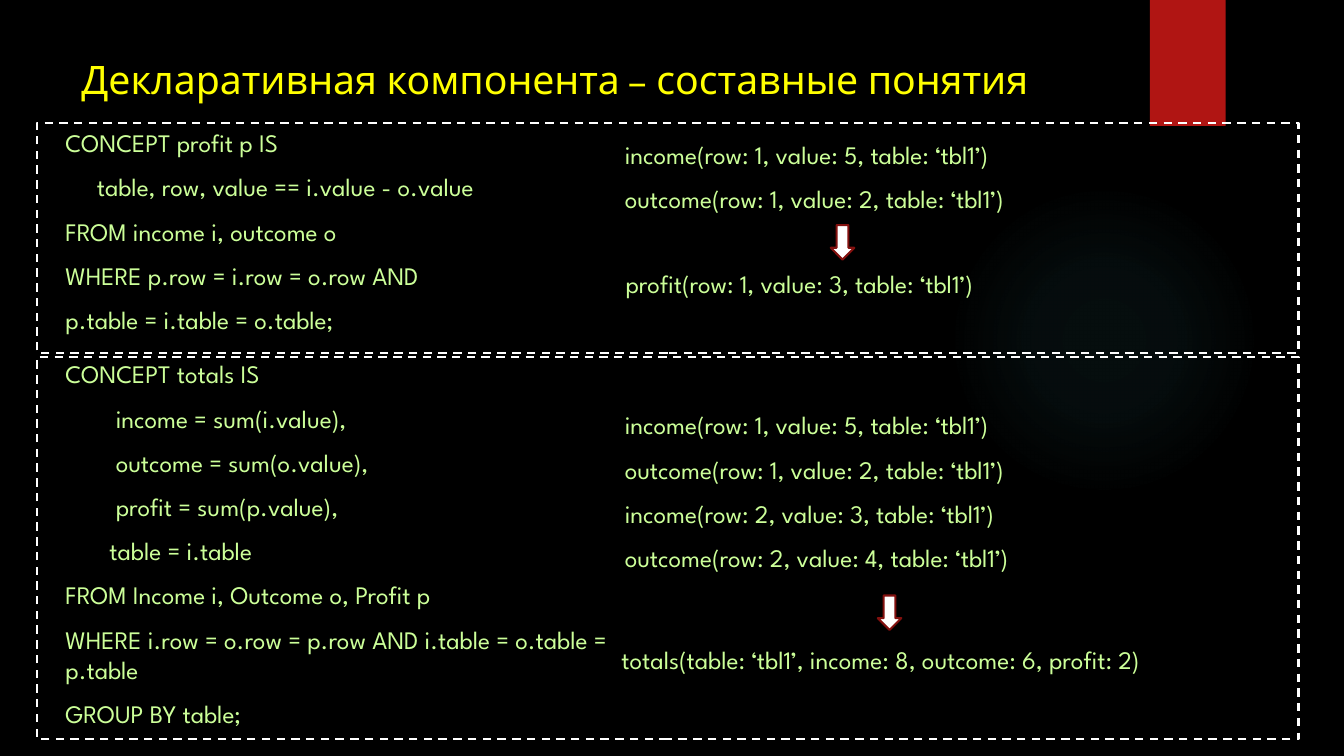
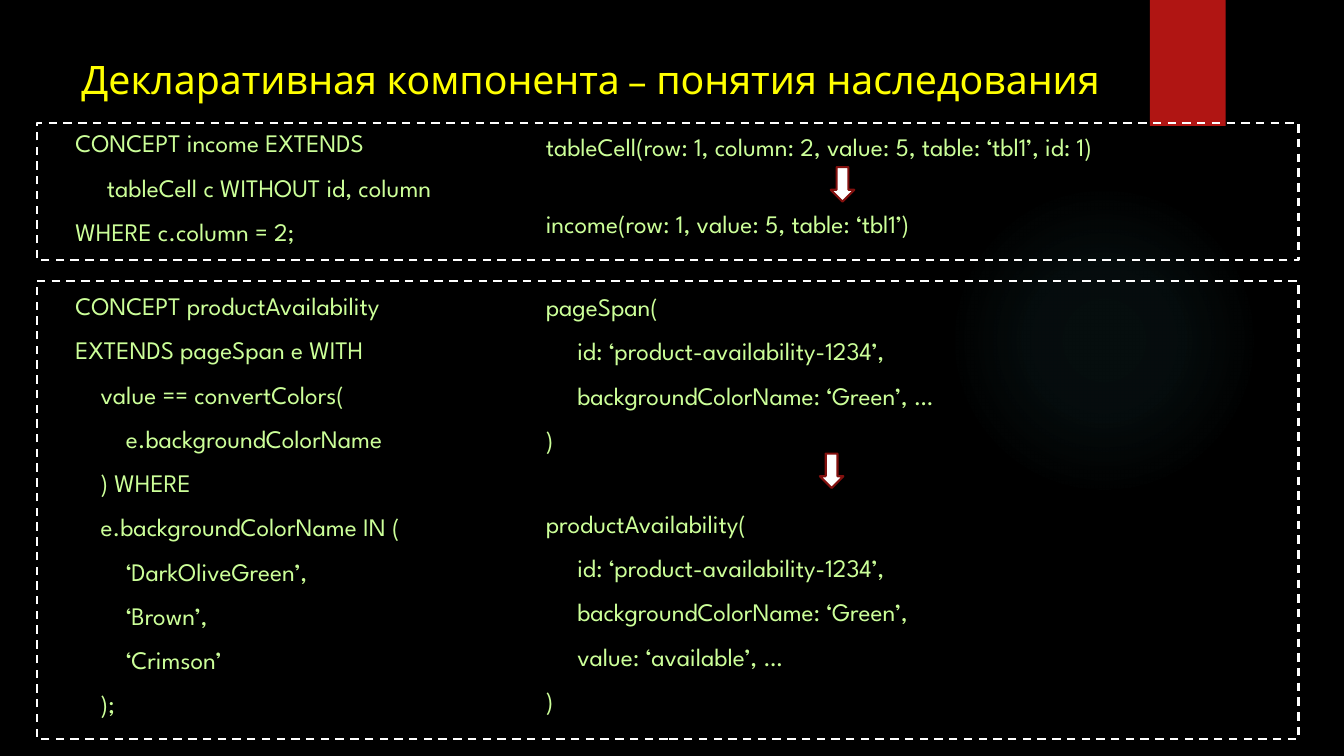
from lxml import etree
from pptx import Presentation
from pptx.dml.color import RGBColor
from pptx.enum.dml import MSO_LINE
from pptx.enum.shapes import MSO_SHAPE
from pptx.enum.text import MSO_ANCHOR, MSO_AUTO_SIZE, PP_ALIGN
from pptx.oxml import parse_xml
from pptx.oxml.ns import nsdecls
from pptx.util import Inches, Pt

RECTANGLE, ELLIPSE, DOWN_ARROW = MSO_SHAPE.RECTANGLE, MSO_SHAPE.OVAL, MSO_SHAPE.DOWN_ARROW
DASH = MSO_LINE.DASH
TOP, LEFT, NO_AUTOFIT = MSO_ANCHOR.TOP, PP_ALIGN.LEFT, MSO_AUTO_SIZE.NONE

COLORS = {
    "background": "000000",
    "ribbon": "B01513",
    "glow": "50B9C1",
    "title": "FFFF00",
    "code": "CCFF99",
    "white": "FFFFFF",
    "arrow_edge": "82100E",
}
FONT = "League Spartan"
TITLE_SIZE, CODE_SIZE, CODE_GAP, LINE_WIDTH = 28, 18, 10, 1.5
COLUMNS, ROWS = 80, 45
CELL = Inches(1) / 6
INDENT_STEP = Inches(0.0625)
CODE_LINE_ROWS, CODE_PADDING_ROWS = 2.63, 0.8
FRAME_LEFT, FRAME_WIDTH = 2.2, 75.1
TITLE_ONLY = 5


def cells(*lengths):
    """Turn grid columns and rows into slide lengths."""
    return [round(length * CELL) for length in lengths]


def color(name):
    return RGBColor.from_string(COLORS[name])


class Deck:
    def __init__(self):
        self.presentation = Presentation()
        self.presentation.slide_width, self.presentation.slide_height = cells(COLUMNS, ROWS)
        self.layout = self.presentation.slide_layouts[TITLE_ONLY]
        fill = self.layout.background.fill
        fill.solid()
        fill.fore_color.rgb = color("background")
        self.slide = None

    def start_slide(self, title):
        first = self.slide is None
        self.slide = self.presentation.slides.add_slide(self.layout)
        if first:
            self.decorate_layout()
        heading = self.slide.shapes.title
        heading.left, heading.top, heading.width, heading.height = cells(4.25, 3, 64.5, 4.4)
        frame = heading.text_frame
        frame.text = title
        frame.auto_size = NO_AUTOFIT
        frame.vertical_anchor = TOP
        self.style(frame.paragraphs[0], TITLE_SIZE, "title")

    def decorate_layout(self):
        """Draw the glow and the ribbon, then move them behind the layout's placeholders."""
        glow = self.shape(ELLIPSE, 56.45, 11, 18.5, 18.5)
        stops = "".join(
            f'<a:gs pos="{position}000"><a:srgbClr val="{COLORS["glow"]}">'
            f'<a:alpha val="{opacity}000"/></a:srgbClr></a:gs>'
            for position, opacity in ((0, 7), (36, 6), (69, 0))
        )
        gradient = parse_xml(
            f'<a:gradFill {nsdecls("a")}><a:gsLst>{stops}</a:gsLst><a:path path="circle">'
            '<a:fillToRect l="50000" t="50000" r="50000" b="50000"/></a:path></a:gradFill>'
        )
        properties = glow._element.spPr
        properties.replace(properties.find("{*}noFill"), gradient)

        ribbon = self.shape(RECTANGLE, 68.45, 0, 4.5, 7.5, "ribbon")
        shadow = parse_xml(
            f'<a:outerShdw {nsdecls("a")} blurRad="{Pt(3)}" dist="{Pt(2)}" dir="5400000" '
            'rotWithShape="0"><a:srgbClr val="000000"><a:alpha val="45000"/></a:srgbClr>'
            "</a:outerShdw>"
        )
        ribbon._element.spPr.find("{*}effectLst").append(shadow)

        tree = self.layout.shapes._spTree
        for position, decoration in enumerate((glow, ribbon), start=2):
            tree.insert(position, decoration._element)
        etree.cleanup_namespaces(tree)

    def style(self, paragraph, size, color_name):
        paragraph.alignment = LEFT
        for run in paragraph.runs:
            run.font.name = FONT
            run.font.size = Pt(size)
            run.font.color.rgb = color(color_name)

    def shape(self, kind, left, top, width, height, fill=None, line=None):
        shape = self.slide.shapes.add_shape(kind, *cells(left, top, width, height))
        shape.shadow.inherit = False
        if fill:
            shape.fill.solid()
            shape.fill.fore_color.rgb = color(fill)
        else:
            shape.fill.background()
        if line:
            shape.line.color.rgb = color(line)
            shape.line.width = Pt(LINE_WIDTH)
        else:
            shape.line.fill.background()
        return shape

    def code(self, left, top, width, *lines):
        """Write code lines; their leading spaces become paragraph indents."""
        height = len(lines) * CODE_LINE_ROWS + CODE_PADDING_ROWS
        frame = self.slide.shapes.add_textbox(*cells(left, top, width, height)).text_frame
        frame.word_wrap = True
        frame.vertical_anchor = TOP
        frame.text = "\n".join(line.lstrip() for line in lines)
        for paragraph, line in zip(frame.paragraphs, lines):
            paragraph.space_before = Pt(CODE_GAP)
            depth = len(line) - len(line.lstrip())
            if depth:
                paragraph._p.get_or_add_pPr().set("marL", str(int(depth * INDENT_STEP)))
            self.style(paragraph, CODE_SIZE, "code")

    def arrow(self, left, top):
        self.shape(DOWN_ARROW, left, top, 1.4, 2.05, "white", "arrow_edge")

    def frame(self, top, height):
        outline = self.shape(RECTANGLE, FRAME_LEFT, top, FRAME_WIDTH, height, line="white")
        outline.line.dash_style = DASH


def fact(concept, row, value):
    return f"{concept}(row: {row}, value: {value}, table: ‘tbl1’)"


def build_composite_concepts(deck):
    first_row = fact("income", 1, 5), fact("outcome", 1, 2)
    second_row = fact("income", 2, 3), fact("outcome", 2, 4)
    deck.start_slide("Декларативная компонента – составные понятия")
    deck.code(
        3.3, 7.3, 34,
        "CONCEPT profit p IS",
        "     table, row, value == i.value - o.value",
        "FROM income i, outcome o",
        "WHERE p.row = i.row = o.row AND",
        "p.table = i.table = o.table;",
    )
    deck.code(
        3.3, 21.05, 34,
        "CONCEPT totals IS",
        "        income = sum(i.value),",
        "        outcome = sum(o.value),",
        "        profit = sum(p.value),",
        "       table = i.table",
        "FROM Income i, Outcome o, Profit p",
        "WHERE i.row = o.row = p.row AND i.table = o.table = p.table",
        "GROUP BY table;",
    )
    deck.code(36.6, 8, 40.7, *first_row)
    deck.arrow(49.45, 13.4)
    deck.code(36.65, 15.65, 30, fact("profit", 1, 3))
    deck.code(36.6, 24.1, 37.8, *first_row, *second_row)
    deck.arrow(52.25, 35.45)
    deck.code(36.4, 38.05, 39.9, "totals(table: ‘tbl1’, income: 8, outcome: 6, profit: 2)")
    deck.frame(7.3, 13.7)
    deck.frame(21.25, 22.75)


def build_inherited_concepts(deck):
    span_id = "     id: ‘product-availability-1234’,"
    span_color = "     backgroundColorName: ‘Green’,"
    deck.start_slide("Декларативная компонента – понятия наследования")
    deck.code(
        3.9, 7.3, 34,
        "CONCEPT income EXTENDS",
        "     tableCell c WITHOUT id, column",
        "WHERE c.column = 2;",
    )
    deck.code(
        3.9, 17, 38.6,
        "CONCEPT productAvailability",
        "EXTENDS pageSpan e WITH",
        "    value == convertColors(",
        "        e.backgroundColorName",
        "    ) WHERE",
        "    e.backgroundColorName IN (",
        "        ‘DarkOliveGreen’,",
        "        ‘Brown’,",
        "        ‘Crimson’",
        "    );",
    )
    deck.code(31.9, 7.5, 45.4, "tableCell(row: 1, column: 2, value: 5, table: ‘tbl1’, id: 1)")
    deck.arrow(49.45, 9.95)
    deck.code(31.9, 12.1, 30, fact("income", 1, 5))
    deck.code(31.9, 17.05, 41.5, "pageSpan(", span_id, f"{span_color} …", ")")
    deck.arrow(48.8, 27)
    deck.code(
        31.9, 29.95, 44.4,
        "productAvailability(", span_id, span_color, "     value: ‘available’, …", ")",
    )
    deck.frame(7.3, 8.2)
    deck.frame(16.7, 27.3)


def main():
    deck = Deck()
    build_composite_concepts(deck)
    build_inherited_concepts(deck)
    deck.presentation.save("out.pptx")


if __name__ == "__main__":
    main()
